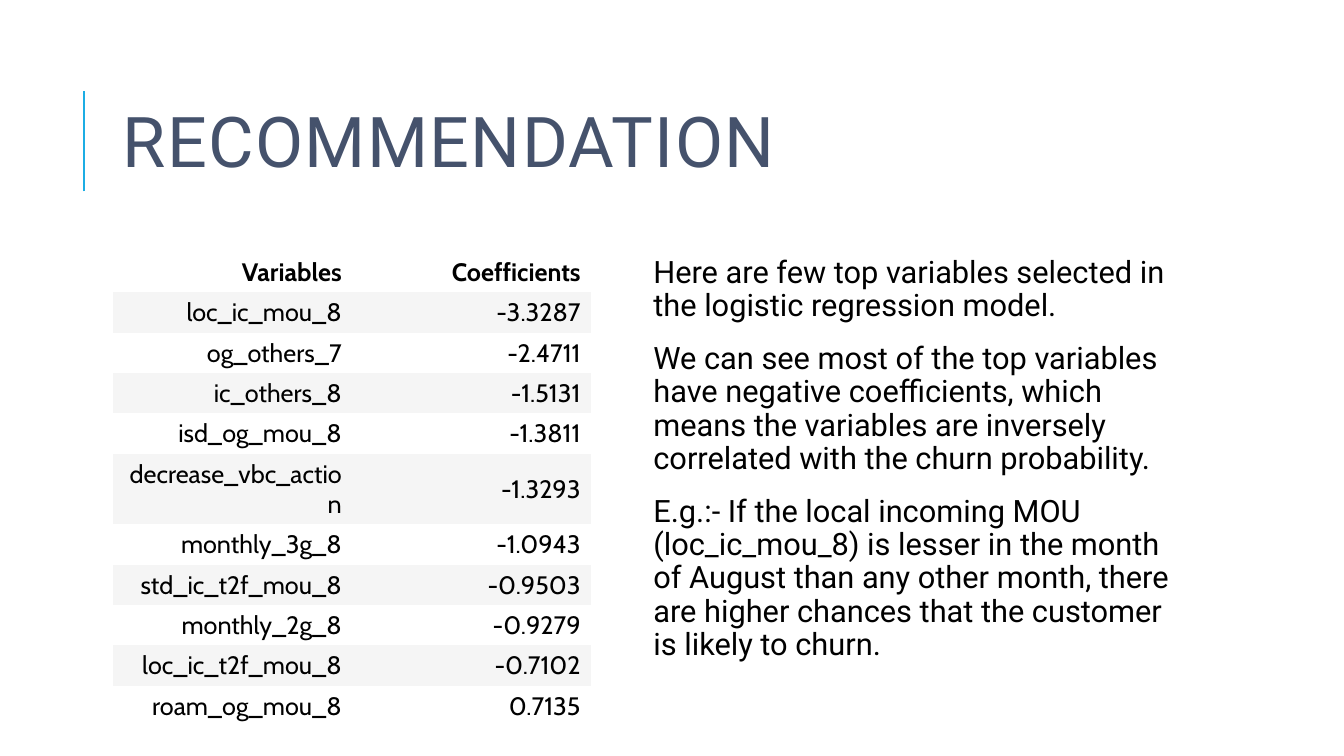
from pptx import Presentation
from pptx import util as u
from pptx.dml.color import RGBColor
from pptx.enum import shapes, text
from pptx.oxml import ns
from lxml import etree

ACCENT = RGBColor(0x1C, 0xAD, 0xE4)
NAVY = RGBColor(0x45, 0x52, 0x6C)
BLACK = RGBColor(0, 0, 0)
BAND = RGBColor(0xF5, 0xF5, 0xF5)
PLAIN_TABLE = "{2D5ABB26-0587-4C30-8999-92F81FD0307C}"

COEFFICIENTS = [
    ("Variables", "Coefficients"),
    ("loc_ic_mou_8", "-3.3287"),
    ("og_others_7", "-2.4711"),
    ("ic_others_8", "-1.5131"),
    ("isd_og_mou_8", "-1.3811"),
    ("decrease_vbc_action", "-1.3293"),
    ("monthly_3g_8", "-1.0943"),
    ("std_ic_t2f_mou_8", "-0.9503"),
    ("monthly_2g_8", "-0.9279"),
    ("loc_ic_t2f_mou_8", "-0.7102"),
    ("roam_og_mou_8", "0.7135"),
]
FINDINGS = [
    "Here are few top variables selected in the logistic regression model.",
    "We can see most of the top variables have negative coefficients, which means "
    "the variables are inversely correlated with the churn probability.",
    "E.g.:- If the local incoming MOU (loc_ic_mou_8) is lesser in the month of August "
    "than any other month, there are higher chances that the customer is likely to churn.",
]


class SlideBuilder:
    """Places styled elements on one slide, with lengths in percent of its size."""

    text_font = "Roboto"
    table_font = "Cabin"

    def __init__(self, presentation):
        self.width = presentation.slide_width
        self.height = presentation.slide_height
        self.slide = presentation.slides.add_slide(presentation.slide_layouts[6])

    def place(self, *percents):
        sizes = (self.width, self.height) * 2
        return [u.Emu(round(size * percent / 100)) for size, percent in zip(sizes, percents)]

    def style(self, paragraph, font_name, size, color, bold=False):
        font = paragraph.font
        font.name, font.size, font.bold = font_name, u.Pt(size), bold
        font.color.rgb = color

    def rule(self, *ends):
        line = self.slide.shapes.add_connector(shapes.MSO_CONNECTOR.STRAIGHT, *self.place(*ends))
        line.line.color.rgb = ACCENT
        line.line.width = u.Pt(1.5)
        etree.SubElement(line._element.spPr, ns.qn("a:effectLst"))

    def text_frame(self, box):
        frame = self.slide.shapes.add_textbox(*self.place(*box)).text_frame
        frame.word_wrap = True
        return frame

    def title(self, wording, box):
        frame = self.text_frame(box)
        frame.vertical_anchor = text.MSO_ANCHOR.MIDDLE
        paragraph = frame.paragraphs[0]
        run = paragraph.add_run()
        run.text = wording
        run.font._element.set("spc", "100")
        paragraph.line_spacing = 0.8
        self.style(paragraph, self.text_font, 50, NAVY)

    def body(self, paragraphs, box):
        frame = self.text_frame(box)
        frame.margin_left = u.Inches(0.15)
        frame.margin_right = u.Inches(0.05)
        frame.text = "\n".join(paragraphs)
        for paragraph in frame.paragraphs:
            paragraph.line_spacing = 0.9
            paragraph.space_before = u.Pt(12)
            paragraph.space_after = u.Pt(2)
            self.style(paragraph, self.text_font, 22, BLACK)

    def table(self, rows, box):
        table = self.slide.shapes.add_table(len(rows), len(rows[0]), *self.place(*box)).table
        table._tbl.tblPr.find(ns.qn("a:tableStyleId")).text = PLAIN_TABLE
        for row_index, row in enumerate(rows):
            for column_index, wording in enumerate(row):
                cell = table.cell(row_index, column_index)
                cell.text = wording
                cell.vertical_anchor = text.MSO_ANCHOR.MIDDLE
                if row_index % 2:
                    cell.fill.solid()
                    cell.fill.fore_color.rgb = BAND
                else:
                    cell.fill.background()
                paragraph = cell.text_frame.paragraphs[0]
                paragraph.alignment = text.PP_ALIGN.RIGHT
                self.style(paragraph, self.table_font, 18, BLACK, bold=row_index == 0)


def main():
    presentation = Presentation()
    presentation.slide_width = u.Inches(13.33)
    presentation.slide_height = u.Inches(7.5)
    builder = SlideBuilder(presentation)
    builder.rule(6.25, 25.33, 6.25, 12)
    builder.title("RECOMMENDATION", (8.4, 8.53, 79.74, 21.87))
    builder.body(FINDINGS, (47.49, 33.33, 40.66, 58.67))
    builder.table(COEFFICIENTS, (8.4, 33.33, 35.56, 58.67))
    presentation.save("out.pptx")


if __name__ == "__main__":
    main()
